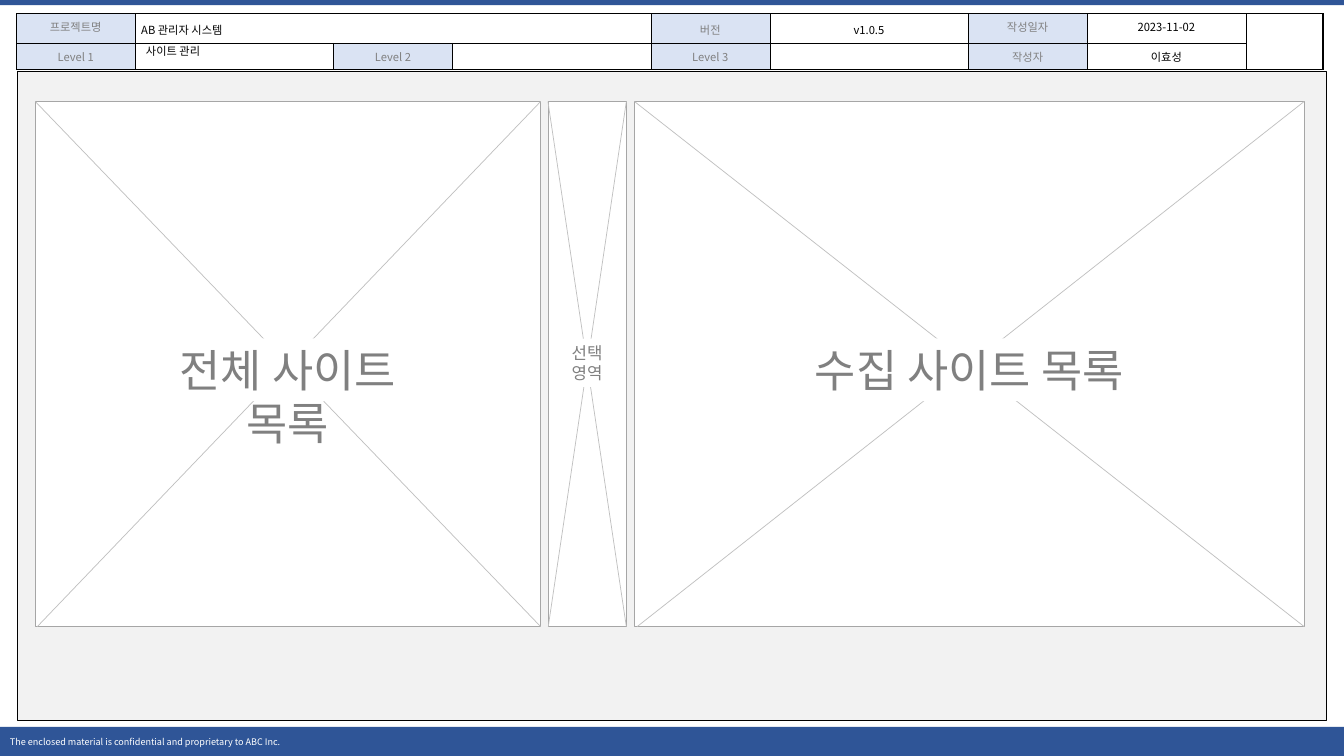
from lxml import etree
from pptx import Presentation
from pptx.dml.color import RGBColor
from pptx.enum.shapes import MSO_CONNECTOR, MSO_SHAPE
from pptx.enum.text import MSO_ANCHOR, PP_ALIGN
from pptx.oxml import parse_xml
from pptx.oxml.ns import qn
from pptx.util import Pt

NAVY = RGBColor(0x2F, 0x55, 0x97)
PALE_BLUE = RGBColor(0xDA, 0xE3, 0xF3)
PALE_GRAY = RGBColor(0xF2, 0xF2, 0xF2)
DIAGONAL_GRAY = RGBColor(0xBF, 0xBF, 0xBF)
FRAME_GRAY = RGBColor(0xA6, 0xA6, 0xA6)
TEXT_GRAY = RGBColor(0x80, 0x80, 0x80)
BLACK = RGBColor(0, 0, 0)
WHITE = RGBColor(0xFF, 0xFF, 0xFF)
FONT = "Noto Sans CJK KR"
DRAWING_NS = "http://schemas.openxmlformats.org/drawingml/2006/main"


def add_rect(shapes, left, top, width, height, fill, line=None):
    rect = shapes.add_shape(MSO_SHAPE.RECTANGLE, Pt(left), Pt(top), Pt(width), Pt(height))
    rect.shadow.inherit = False
    rect.fill.solid()
    rect.fill.fore_color.rgb = fill
    if line is None:
        rect.line.fill.background()
    else:
        rect.line.color.rgb = line
        rect.line.width = Pt(0.25)
    return rect


def write(frame, text, size, color, align=PP_ALIGN.LEFT):
    frame.text = text
    for para in frame.paragraphs:
        para.alignment = align
        para.font.size = Pt(size)
        para.font.name = FONT
        para.font.color.rgb = color
        east_asian = etree.SubElement(para.font._element, qn("a:ea"))
        east_asian.set("typeface", FONT)


deck = Presentation()
deck.slide_width = Pt(960)
deck.slide_height = Pt(540)
page = deck.slides.add_slide(deck.slide_layouts[6])

# Top band and footer
add_rect(page.shapes, 0, 0, 960, 3.6, NAVY)
footer = add_rect(page.shapes, 0, 519.1, 961, 20.9, NAVY)
write(footer.text_frame, "The enclosed material is confidential and proprietary to ABC Inc.",
      6.5, WHITE)
footer.text_frame.word_wrap = False
footer.text_frame.vertical_anchor = MSO_ANCHOR.MIDDLE

# Document information table
INFO_ROWS = [
    ["프로젝트명", "AB 관리자 시스템", "", "", "버전", "v1.0.5", "작성일자", "2023-11-02", ""],
    ["Level 1", "", "Level 2", "", "Level 3", "", "작성자", "이효성", ""],
]
COLUMN_WIDTHS = [85, 141.7, 85, 141.7, 85, 141.7, 85, 113.3, 55.4]
ROW_HEIGHTS = [18.7, 16.6]
LOOSE_CELLS = ["AB 관리자 시스템", "버전", "v1.0.5"]

info = page.shapes.add_table(2, 9, Pt(11.6), Pt(9.6), Pt(sum(COLUMN_WIDTHS)),
                             Pt(sum(ROW_HEIGHTS))).table
info.first_row = False
info.horz_banding = False
for column, width in zip(info.columns, COLUMN_WIDTHS):
    column.width = Pt(width)
for row, height in zip(info.rows, ROW_HEIGHTS):
    row.height = Pt(height)

for r, texts in enumerate(INFO_ROWS):
    for c, text in enumerate(texts):
        cell = info.cell(r, c)
        is_label = c % 2 == 0 and text != ""
        align = PP_ALIGN.LEFT if (r, c) == (0, 1) else PP_ALIGN.CENTER
        write(cell.text_frame, text, 8, TEXT_GRAY if is_label else BLACK, align)
        if text in LOOSE_CELLS:
            cell.text_frame.paragraphs[0].line_spacing = 1.2
        cell.margin_left = cell.margin_right = Pt(4.3)
        cell.margin_top = cell.margin_bottom = Pt(3.6)
        cell.fill.solid()
        cell.fill.fore_color.rgb = PALE_BLUE if is_label else WHITE

        # Thin borders, heavier along the right and bottom edges
        right = 1.5 if c == 8 else 0.25
        bottom = 1.5 if r == 1 or c == 8 else 0.25
        borders = [("lnL", 0.25), ("lnR", right), ("lnT", 0.25), ("lnB", bottom)]
        properties = cell._tc.get_or_add_tcPr()
        for position, (tag, weight) in enumerate(borders):
            properties.insert(position, parse_xml(
                f'<a:{tag} xmlns:a="{DRAWING_NS}" w="{Pt(weight)}"><a:solidFill>'
                f'<a:srgbClr val="{BLACK}"/></a:solidFill></a:{tag}>'))

info.cell(0, 1).merge(info.cell(0, 3))
info.cell(0, 8).merge(info.cell(1, 8))

# Content area
add_rect(page.shapes, 12.4, 50.7, 935.2, 463.7, PALE_GRAY, BLACK)

# Level 1 value, laid over the table
menu = page.shapes.add_textbox(Pt(97.2), Pt(28.1), Pt(141.8), Pt(17.3))
write(menu.text_frame, "사이트 관리", 8, BLACK)
menu.text_frame.word_wrap = True
menu.text_frame.vertical_anchor = MSO_ANCHOR.MIDDLE
menu.text_frame.paragraphs[0].line_spacing = 0.9

# Wireframe panels: left, width, label, label width, label height, text size
PANEL_TOP, PANEL_HEIGHT, LABEL_TOP = 72.5, 375.1, 241.8
PANELS = [
    (25.2, 361, "전체 사이트 목록", 206.6, 44.8, 32),
    (453.2, 478.4, "수집 사이트 목록", 274.3, 44.8, 32),
    (391.4, 56, "선택\n영역", 30.2, 34.6, 12),
]
for left, width, text, label_width, label_height, size in PANELS:
    panel = page.shapes.add_group_shape()
    add_rect(panel.shapes, left, PANEL_TOP, width, PANEL_HEIGHT, WHITE, FRAME_GRAY)
    right, bottom = left + width, PANEL_TOP + PANEL_HEIGHT
    for x1, y1, x2, y2 in [(left, PANEL_TOP, right, bottom),
                           (left + width * 0.004, bottom, right, PANEL_TOP)]:
        diagonal = panel.shapes.add_connector(MSO_CONNECTOR.STRAIGHT,
                                              Pt(x1), Pt(y1), Pt(x2), Pt(y2))
        diagonal.line.color.rgb = DIAGONAL_GRAY
        diagonal.line.width = Pt(0.5)
        etree.SubElement(diagonal._element.spPr, qn("a:effectLst"))
    label = add_rect(panel.shapes, left + (width - label_width) / 2, LABEL_TOP,
                     label_width, label_height, WHITE)
    frame = label.text_frame
    write(frame, text, size, TEXT_GRAY, PP_ALIGN.CENTER)
    frame.word_wrap = True
    frame.vertical_anchor = MSO_ANCHOR.TOP
    frame.margin_left = frame.margin_right = Pt(2.8)
    frame.margin_top = frame.margin_bottom = Pt(2.8)

deck.save("out.pptx")
